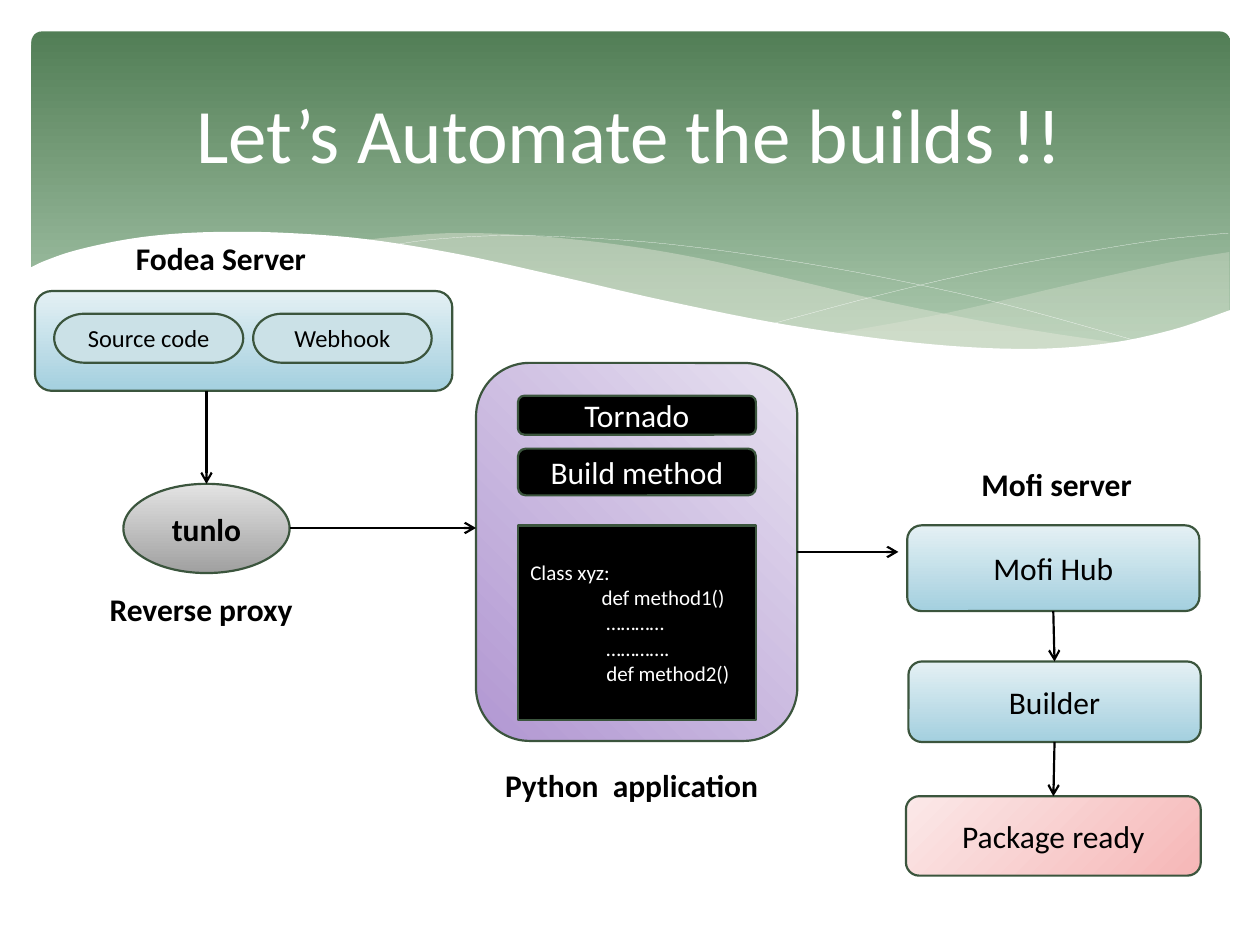
from collections import namedtuple
from dataclasses import dataclass

from lxml.etree import SubElement
from pptx import Presentation
from pptx.dml.color import RGBColor
from pptx.enum.shapes import MSO_CONNECTOR, MSO_SHAPE
from pptx.enum.text import MSO_ANCHOR, MSO_AUTO_SIZE, PP_ALIGN
from pptx.oxml.ns import qn
from pptx.util import Pt


@dataclass(frozen=True)
class Theme:
    font: str = "Calibri"
    title: int = 44
    body: int = 18
    pill: int = 14
    code: int = 12
    outline: float = 1.25
    hairline: float = 0.1
    white: str = "FFFFFF"
    black: str = "000000"
    border: str = "3B553D"
    pill_fill: str = "CBE1E7"
    wave: str = "EAEBDE"
    green: tuple = ("527E56", "AAC8AD", 270)
    blue: tuple = ("A4D0DF", "E4F0F4", 90)
    gray: tuple = ("A0A0A0", "E3E3E3", 90)
    purple: tuple = ("B197D2", "E7E1F0", 45)
    pink: tuple = ("F6B7B7", "FBE8E8", 135)


THEME = Theme()


class Box(namedtuple("Box", "left top width height")):
    def inner(self, left, top, width, height):
        return Box(self.left + left, self.top + top, width, height)

    def emu(self):
        return [Pt(length) for length in self]


def paint(shape, fill, outline=None, weight=THEME.outline):
    shape.shadow.inherit = False
    if fill is None:
        shape.fill.background()
    elif isinstance(fill, tuple):
        start, end, angle = fill
        shape.fill.gradient()
        shape.fill.gradient_angle = angle
        for stop, color in zip(shape.fill.gradient_stops, (start, end)):
            stop.color.rgb = RGBColor.from_string(color)
    else:
        shape.fill.solid()
        shape.fill.fore_color.rgb = RGBColor.from_string(fill)
    if outline is None:
        shape.line.fill.background()
    else:
        shape.line.color.rgb = RGBColor.from_string(outline)
        shape.line.width = Pt(weight)


def write(paragraph, text, size, color, bold=False, align=PP_ALIGN.CENTER):
    paragraph.alignment = align
    run = paragraph.add_run()
    run.text = text
    run.font.name = THEME.font
    run.font.size = Pt(size)
    run.font.bold = bold
    run.font.color.rgb = RGBColor.from_string(color)


def node(slide, box, fill, text="", kind=MSO_SHAPE.ROUNDED_RECTANGLE,
         size=THEME.body, color=THEME.black, bold=False):
    shape = slide.shapes.add_shape(kind, *box.emu())
    paint(shape, fill, THEME.border)
    frame = shape.text_frame
    frame.word_wrap = True
    frame.vertical_anchor = MSO_ANCHOR.MIDDLE
    if text:
        write(frame.paragraphs[0], text, size, color, bold)
    return shape


def caption(slide, box, text):
    frame = slide.shapes.add_textbox(*box.emu()).text_frame
    frame.word_wrap = False
    frame.auto_size = MSO_AUTO_SIZE.SHAPE_TO_FIT_TEXT
    write(frame.paragraphs[0], text, THEME.body, THEME.black, True, PP_ALIGN.LEFT)


def arrow(slide, start=(0, 0), end=(0, 0), source=None, target=None, source_side=2):
    link = slide.shapes.add_connector(
        MSO_CONNECTOR.STRAIGHT, *[Pt(length) for length in (*start, *end)])
    if source is not None:
        link.begin_connect(source, source_side)
    if target is not None:
        link.end_connect(target, 0)
    link.line.color.rgb = RGBColor.from_string(THEME.black)
    link.line.width = Pt(THEME.outline)
    properties = link.element.spPr
    SubElement(properties.find(qn("a:ln")), qn("a:tailEnd"), type="arrow")
    SubElement(properties, qn("a:effectLst"))


def smooth(knots, steps=6):
    padded = [knots[0], *knots, knots[-1]]
    curve = [knots[0]]
    for a, b, c, d in zip(padded, padded[1:], padded[2:], padded[3:]):
        for step in range(1, steps + 1):
            t = step / steps
            curve.append(tuple(
                q + t / 2 * (r - p + t * (2 * p - 5 * q + 4 * r - s
                                          + t * (3 * (q - r) + s - p)))
                for p, q, r, s in zip(a, b, c, d)))
    return curve


def ribbon(slide, box, points, fill=None, opacity=None):
    outline = [(Pt(box.left + x), Pt(box.top + y)) for x, y in points]
    builder = slide.shapes.build_freeform(*outline[0])
    builder.add_line_segments(outline[1:], close=fill is not None)
    shape = builder.convert_to_shape()
    paint(shape, fill, None if fill else THEME.white, THEME.hairline)
    if opacity:
        color = shape.element.spPr.find(qn("a:solidFill"))[0]
        SubElement(color, qn("a:alpha"), val=str(opacity * 1000))


def draw_waves(slide, box):
    right_top = [(686, 12), (656.7, 17), (603.4, 28.6), (525.7, 46.6), (459.4, 58.8)]
    right_bottom = [(459.4, 58.8), (501.2, 63.8), (545.8, 67.4), (591, 67.4),
                    (629.3, 62.4), (661.7, 54.5), (686, 45.8)]
    middle_top = [(626.5, 64.6), (564.5, 55.2), (491.8, 40.8), (436.4, 27.8),
                  (383, 15.6), (335.6, 7.7), (286, 2.6), (243.4, 1.2),
                  (208.9, 3.4), (189.4, 5.5)]
    middle_bottom = [(189.4, 5.5), (229.7, 11.3), (274.4, 20), (337, 35),
                     (404, 49.4), (462.3, 59.5), (513.4, 66), (556.6, 68.2),
                     (594, 67.4), (626.5, 64.6)]
    falling = [(206, 8.4), (231.2, 4.8), (272.2, 2.6), (321.2, 4.1), (367.3, 7.7),
               (421.3, 14.9), (483.9, 25.7), (556, 41.5), (636.5, 63.8)]
    rising = [(424.9, 53), (483.9, 37.2), (542.2, 23.5), (607, 11.3),
              (648.8, 4.8), (685.5, 1.2)]
    front = [(687, 45), (653, 56.6), (613.5, 64.6), (566, 67.4), (506, 63.8),
             (434, 53.8), (364.4, 40), (305.3, 26.4), (246.3, 13.4), (193.7, 4.8),
             (149, 1.2), (111, 0.5), (78.5, 2), (52, 5.5), (26, 11.3), (9.4, 17),
             (0, 21.4)]
    ribbon(slide, box, smooth(right_top) + smooth(right_bottom), THEME.wave, 29)
    ribbon(slide, box, smooth(middle_top) + smooth(middle_bottom), THEME.wave, 40)
    for strand in (falling, rising):
        ribbon(slide, box, smooth(strand))
    corners = [(0, box.height), (box.width, box.height)]
    ribbon(slide, box, smooth(front) + corners, THEME.white)


def draw_header(slide, box):
    banner = slide.shapes.add_shape(MSO_SHAPE.ROUNDED_RECTANGLE, *box.emu())
    banner.adjustments[0] = 0.03
    paint(banner, THEME.green)
    banner.fill.gradient_stops[1].position = 0.9
    draw_waves(slide, box.inner(-1.5, 114, 687, 105))
    title = slide.shapes.add_textbox(*box.inner(18, 8.5, 648, 98.5).emu()).text_frame
    title.word_wrap = True
    title.vertical_anchor = MSO_ANCHOR.MIDDLE
    write(title.paragraphs[0], "Let’s Automate the builds !!", THEME.title, THEME.white)


def draw_git_server(slide, box):
    caption(slide, box.inner(50.5, 0, 140, 29), "Fodea Server")
    node(slide, box.inner(0, 33.3, box.width, 57), THEME.blue)
    for left, width, text in ((11, 108, "Source code"), (124.7, 102, "Webhook")):
        node(slide, box.inner(left, 46.3, width, 28), THEME.pill_fill, text,
             MSO_SHAPE.FLOWCHART_TERMINATOR, THEME.pill)


def draw_proxy(slide, box):
    node(slide, box.inner(15, 0, 95, 51), THEME.gray, "tunlo", MSO_SHAPE.OVAL, bold=True)
    caption(slide, box.inner(0, 57, box.width, 29), "Reverse proxy")


def draw_application(slide, box):
    panel = node(slide, box.inner(0, 0, box.width, 216), THEME.purple)
    for top, height, text in ((18.7, 22.3, "Tornado"), (49, 26.7, "Build method")):
        node(slide, box.inner(24, top, 136, height), THEME.black, text, color=THEME.white)
    code = node(slide, box.inner(24, 92.9, 136, 111), THEME.black,
                kind=MSO_SHAPE.RECTANGLE).text_frame
    lines = (("Class xyz:", 0), ("def method1()", 40.7), ("…………", 43.4),
             ("………….", 43.4), ("def method2()", 43.4))
    for index, (text, indent) in enumerate(lines):
        paragraph = code.add_paragraph() if index else code.paragraphs[0]
        write(paragraph, text, THEME.code, THEME.white, align=PP_ALIGN.LEFT)
        paragraph._p.get_or_add_pPr().set("marL", str(Pt(indent)))
    caption(slide, box.inner(9.5, 226.8, 165, 29), "Python  application")
    return panel


def draw_build_server(slide, box):
    caption(slide, box.inner(36, 0, 125, 29), "Mofi server")
    hub = node(slide, box.inner(0.7, 38.2, 167, 49), THEME.blue, "Mofi Hub")
    builder = node(slide, box.inner(1.4, 116, 167, 46), THEME.blue, "Builder")
    package = node(slide, box.inner(0, 193, 168.5, 45.4), THEME.pink, "Package ready")
    arrow(slide, source=hub, target=builder)
    arrow(slide, source=builder, target=package)


def main():
    deck = Presentation()
    deck.slide_width, deck.slide_height = Pt(720), Pt(540)
    slide = deck.slides.add_slide(deck.slide_layouts[6])
    draw_header(slide, Box(18, 18, 685, 194.5))
    draw_git_server(slide, Box(20, 133, 238.5, 90.3))
    draw_proxy(slide, Box(55.5, 276.5, 126, 86))
    application = draw_application(slide, Box(272, 207.4, 183.6, 255.8))
    draw_build_server(slide, Box(517.7, 262, 168.5, 238.4))
    arrow(slide, (118, 223.3), (118, 276.5))
    arrow(slide, (165.5, 301.7), (272, 301.7))
    arrow(slide, end=(513.4, 315.4), source=application, source_side=3)
    deck.save("out.pptx")


if __name__ == "__main__":
    main()
